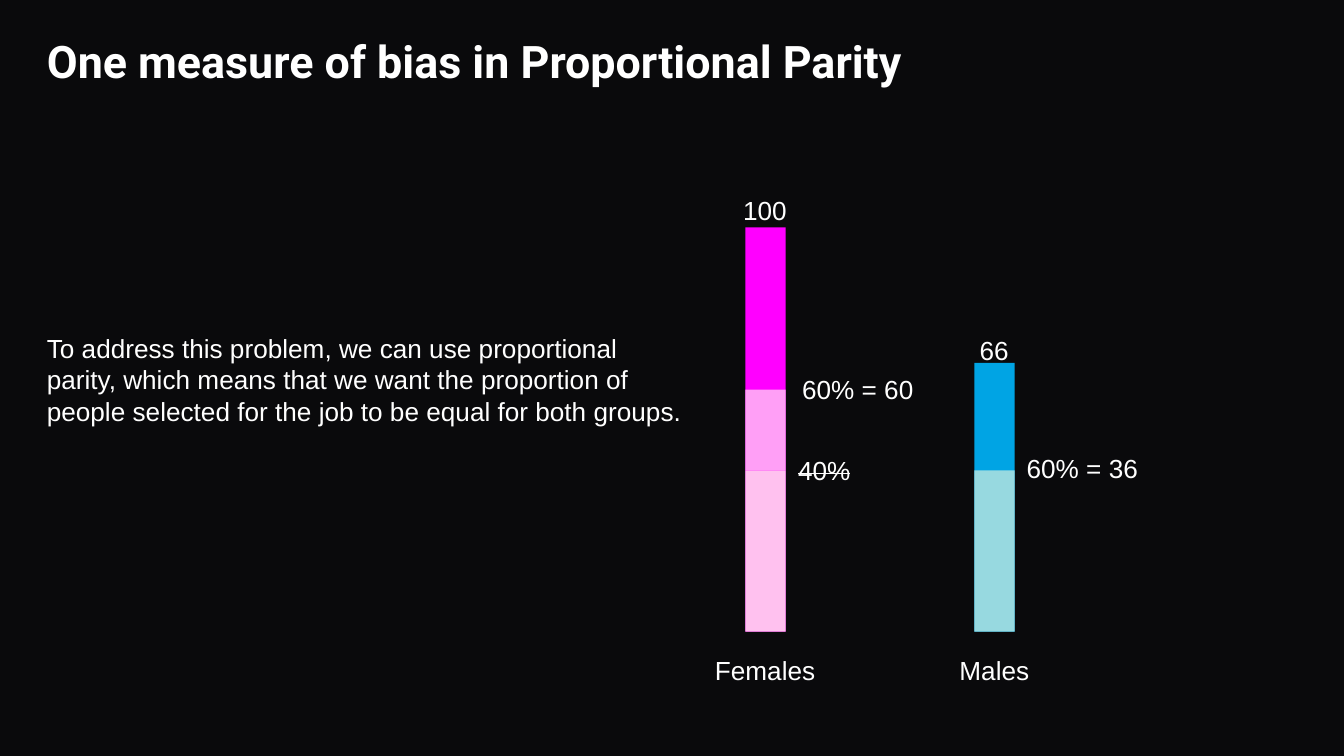
"""Builds a slide that explains proportional parity with two stacked bars."""
from pptx import Presentation
from pptx.dml.color import RGBColor
from pptx.enum.shapes import MSO_SHAPE
from pptx.enum.text import MSO_ANCHOR, MSO_AUTO_SIZE
from pptx.util import Pt

COLORS = {
    "background": "0A0A0C",
    "text": "FFFFFF",
    "female": "FF00FF",
    "female_mid": "FF9FF6",
    "female_light": "FFC1EF",
    "male": "00A4E4",
    "male_light": "97D9E0",
}
TITLE = "One measure of bias in Proportional Parity"
BODY = ("To address this problem, we can use proportional parity, which means "
        "that we want the proportion of people selected for the job to be "
        "equal for both groups.")

BASE, BAR_W, LABEL_H = 338.4, 21.6, 24.2
BARS = [
    {"center": 410.1, "name": ("Females", 68.4), "total": ("100", 38.2, 100.8),
     "segments": [("female", 0, 216.6), ("female_light", 0, 86.4),
                  ("female_mid", 86.4, 43.2)],
     "shares": [("40%", 420.5, 239.8, 42.5, True),
                ("60% = 60", 422.6, 196.6, 74.2, False)]},
    {"center": 532.8, "name": ("Males", 51.8), "total": ("66", 30.2, 175.7),
     "segments": [("male", 0, 144), ("male_light", 0, 86.4)],
     "shares": [("60% = 36", 542.9, 239, 74.2, False)]},
]
NAME_TOP = 347


def rgb(name):
    return RGBColor.from_string(COLORS[name])


def add_text(s, text, left, top, width, height=LABEL_H, *, size=14, font="Arial",
             bold=False, strike=False, wrap=False, anchor=MSO_ANCHOR.TOP,
             spacing=None):
    sp = s.shapes.add_textbox(Pt(left), Pt(top), Pt(width), Pt(height))
    tf = sp.text_frame
    tf.word_wrap = wrap
    tf.auto_size = MSO_AUTO_SIZE.NONE
    tf.vertical_anchor = anchor
    p = tf.paragraphs[0]
    p.line_spacing = spacing
    r = p.add_run()
    r.text = text
    r.font.name, r.font.size, r.font.bold = font, Pt(size), bold
    r.font.color.rgb = rgb("text")
    if strike:
        r.font._element.set("strike", "sngStrike")


def add_segment(s, color, center, offset, height):
    sp = s.shapes.add_shape(MSO_SHAPE.RECTANGLE, Pt(center - BAR_W / 2),
                            Pt(BASE - offset - height), Pt(BAR_W), Pt(height))
    sp.shadow.inherit = False
    sp.fill.solid()
    sp.fill.fore_color.rgb = rgb(color)
    sp.line.fill.background()


def main():
    prs = Presentation()
    prs.slide_width, prs.slide_height = Pt(720), Pt(405)
    s = prs.slides.add_slide(prs.slide_layouts[6])
    s.background.fill.solid()
    s.background.fill.fore_color.rgb = rgb("background")

    add_text(s, TITLE, 18, 10.8, 605.5, 46.8, size=24, font="Roboto", bold=True,
             wrap=True, anchor=MSO_ANCHOR.MIDDLE, spacing=0.9)
    add_text(s, BODY, 18, 174.4, 357.8, 58.2, wrap=True)

    for bar in BARS:
        center = bar["center"]
        for color, offset, height in bar["segments"]:
            add_segment(s, color, center, offset, height)
        name, width = bar["name"]
        add_text(s, name, center - width / 2, NAME_TOP, width)
        total, width, top = bar["total"]
        add_text(s, total, center - width / 2, top, width)
        for text, left, top, width, strike in bar["shares"]:
            add_text(s, text, left, top, width, strike=strike)

    prs.save("out.pptx")


if __name__ == "__main__":
    main()
